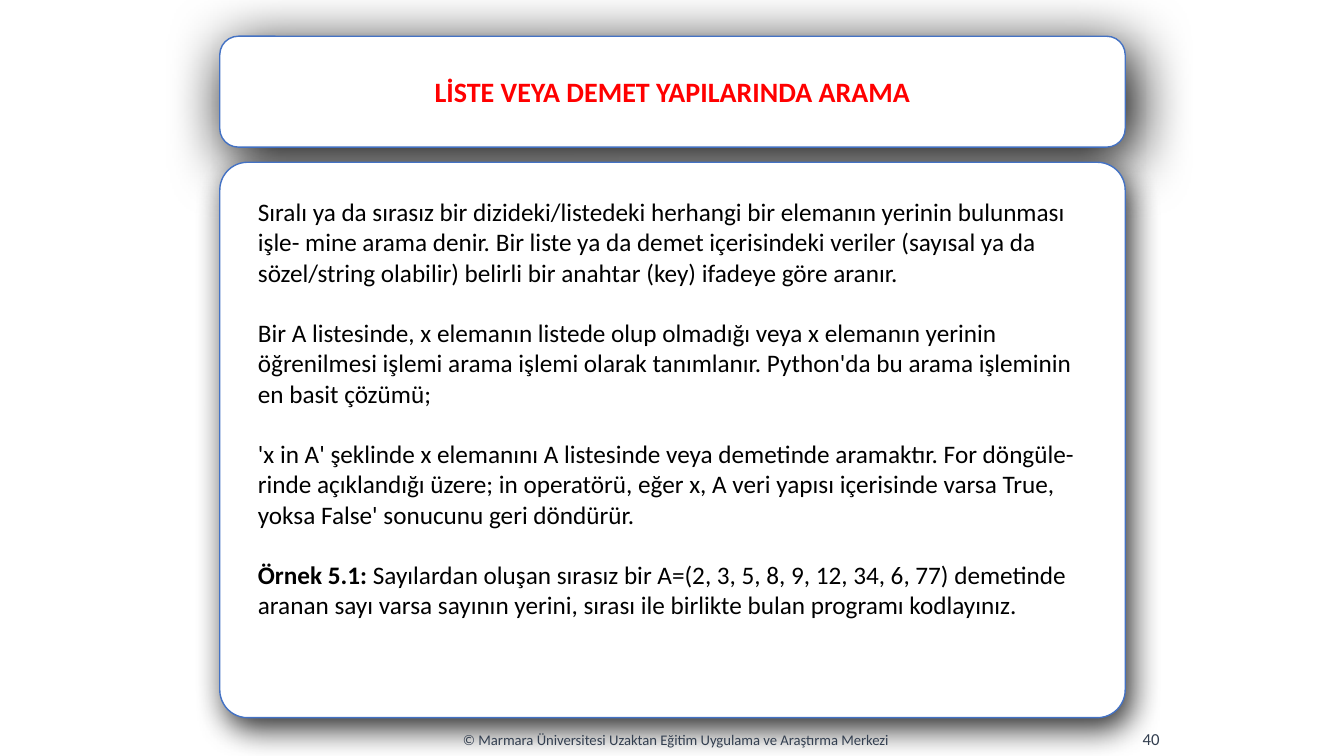
from lxml import etree
from pptx import Presentation
from pptx.dml.color import RGBColor
from pptx.enum.shapes import MSO_SHAPE
from pptx.enum.text import MSO_ANCHOR, PP_ALIGN
from pptx.oxml.ns import qn
from pptx.util import Inches, Pt

TITLE = "LİSTE VEYA DEMET YAPILARINDA ARAMA"
BODY = [
    [("Sıralı ya da sırasız bir dizideki/listedeki herhangi bir elemanın yerinin "
      "bulunması işle- mine arama denir. Bir liste ya da demet içerisindeki veriler "
      "(sayısal ya da sözel/string olabilir) belirli bir anahtar (key) ifadeye göre "
      "aranır.", False)],
    [("Bir A listesinde, x elemanın listede olup olmadığı veya x elemanın yerinin "
      "öğrenilmesi işlemi arama işlemi olarak tanımlanır. Python'da bu arama "
      "işleminin en basit çözümü;", False)],
    [("'x in A' şeklinde x elemanını A listesinde veya demetinde aramaktır. For "
      "döngüle- rinde açıklandığı üzere; in operatörü, eğer x, A veri yapısı "
      "içerisinde varsa True, yoksa False' sonucunu geri döndürür.", False)],
    [("Örnek 5.1: ", True),
     ("Sayılardan oluşan sırasız bir A=(2, 3, 5, 8, 9, 12, 34, 6, 77) demetinde "
      "aranan sayı varsa sayının yerini, sırası ile birlikte bulan programı "
      "kodlayınız.", False)],
]
FOOTER = "© Marmara Üniversitesi Uzaktan Eğitim Uygulama ve Araştırma Merkezi"
PAGE = "40"

THEME = {
    "font": "Calibri",
    "panel": "FFFFFF", "border": "4472C4", "shadow": "000000",
    "title": "FF0000", "text": "000000", "footer": "333F50",
    "title_size": 20, "body_size": 18, "footer_size": 10.5, "page_size": 12,
    "paragraph_gap": 21.6,
}
PANEL_LEFT, PANEL_WIDTH = 2.18, 8.98


def rgb(name):
    return RGBColor.from_string(THEME[name])


def write(s, paragraphs, *, size, color, align=PP_ALIGN.LEFT,
          anchor=MSO_ANCHOR.TOP, gap=0):
    """Fill a shape with paragraphs, each a list of (text, bold) runs."""
    tf = s.text_frame
    tf.word_wrap = True
    tf.vertical_anchor = anchor
    for i, runs in enumerate(paragraphs):
        p = tf.add_paragraph() if i else tf.paragraphs[0]
        p.alignment = align
        if i:
            p.space_before = Pt(gap)
        for text, bold in runs:
            r = p.add_run()
            r.text = text
            r.font.name = THEME["font"]
            r.font.size = Pt(THEME[size])
            r.font.bold = bold
            r.font.color.rgb = rgb(color)


def add_panel(slide, top, height, *, alpha, blur, angle, corner=None):
    """Add a white rounded panel with a soft outer shadow."""
    s = slide.shapes.add_shape(MSO_SHAPE.ROUNDED_RECTANGLE, Inches(PANEL_LEFT),
                               Inches(top), Inches(PANEL_WIDTH), Inches(height))
    if corner is not None:
        s.adjustments[0] = corner
    s.fill.solid()
    s.fill.fore_color.rgb = rgb("panel")
    s.line.color.rgb = rgb("border")
    s.line.width = Pt(1)
    s.shadow.inherit = False
    effects = s._element.spPr.find(qn("a:effectLst"))
    shadow = etree.SubElement(effects, qn("a:outerShdw"), blurRad=str(Pt(blur)),
                              dist=str(Pt(9)), dir=str(angle * 60000),
                              algn="ctr", rotWithShape="0")
    color = etree.SubElement(shadow, qn("a:srgbClr"), val=THEME["shadow"])
    etree.SubElement(color, qn("a:alpha"), val=str(alpha * 1000))
    return s


def add_text(slide, box, paragraphs, **style):
    s = slide.shapes.add_textbox(*map(Inches, box))
    write(s, paragraphs, **style)


def main():
    prs = Presentation()
    prs.slide_width, prs.slide_height = Inches(13.33), Inches(7.5)
    slide = prs.slides.add_slide(prs.slide_layouts[6])

    title = add_panel(slide, 0.36, 1.1, alpha=99, blur=43, angle=60)
    write(title, [[(TITLE, True)]], size="title_size", color="title",
          align=PP_ALIGN.CENTER, anchor=MSO_ANCHOR.MIDDLE)
    add_panel(slide, 1.61, 5.51, alpha=81, blur=23, angle=64, corner=0.05)

    add_text(slide, (3.75, 7.14, 5.91, 0.4), [[(FOOTER, False)]],
             size="footer_size", color="footer", align=PP_ALIGN.CENTER,
             anchor=MSO_ANCHOR.MIDDLE)
    add_text(slide, (9.27, 7.13, 2.33, 0.4), [[(PAGE, False)]],
             size="page_size", color="footer", align=PP_ALIGN.RIGHT,
             anchor=MSO_ANCHOR.MIDDLE)
    add_text(slide, (2.46, 1.9, 8.46, 4.34), BODY, size="body_size",
             color="text", gap=THEME["paragraph_gap"])
    prs.save("out.pptx")


if __name__ == "__main__":
    main()
